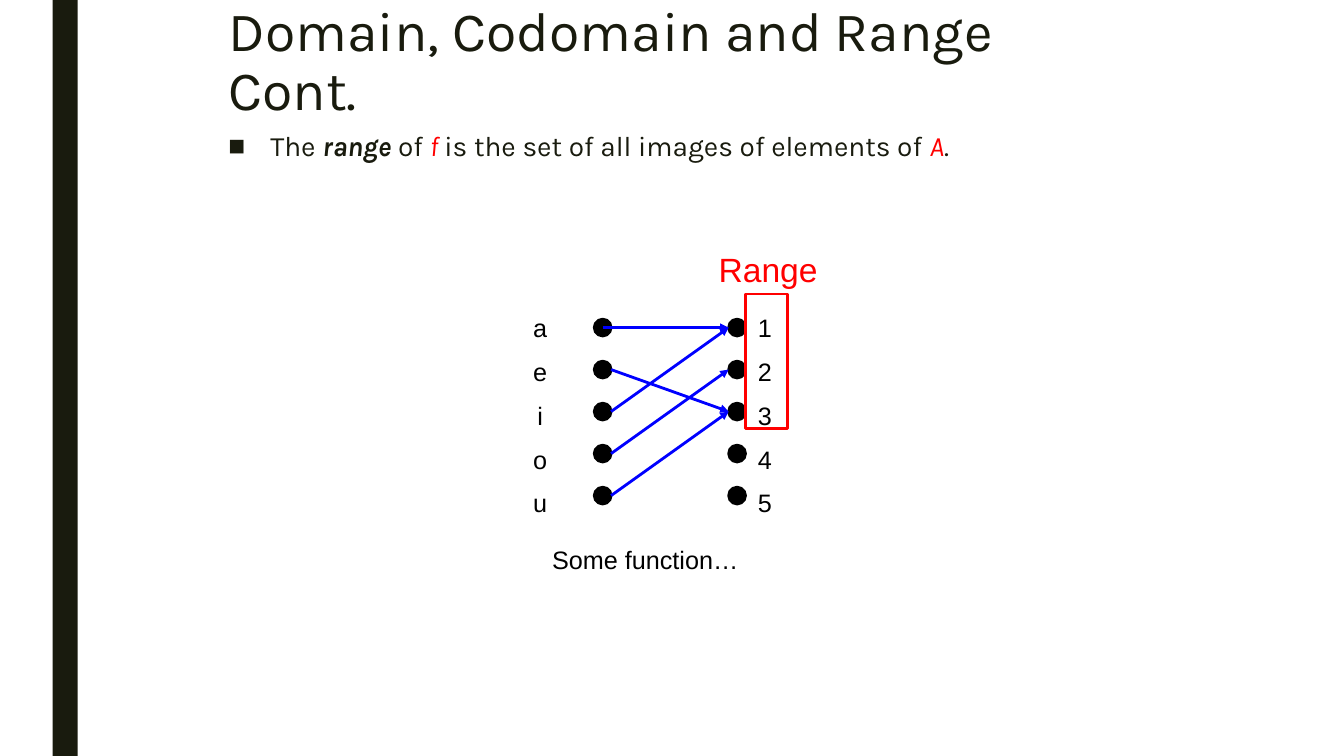
from lxml.etree import SubElement
from pptx import Presentation
from pptx.dml.color import RGBColor
from pptx.enum.shapes import MSO_CONNECTOR as Connector, MSO_SHAPE as Shape
from pptx.enum.text import MSO_ANCHOR as Anchor, MSO_AUTO_SIZE as AutoSize, PP_ALIGN as Align
from pptx.oxml.ns import qn
from pptx.util import Emu, Pt

PX = 9525  # EMU in one px, 96 px to the inch
COLORS = {"ink": "191B0E", "black": "000000", "red": "FF0000", "blue": "0000FF"}
PITCH, DOT = 40, 16
LETTERS, NUMBERS = "aeiou", "12345"
MAPPING = {"a": "1", "e": "3", "i": "1", "o": "2", "u": "3"}


def px(*lengths):
    return [Emu(length * PX) for length in lengths]


def color(name):
    return RGBColor.from_string(COLORS[name])


def set_font(font, ink, **formats):
    for name, value in formats.items():
        setattr(font, name, value)
    font.color.rgb = color(ink)


def add_figure(slide, kind, box, fill=None, line=None):
    figure = slide.shapes.add_shape(kind, *px(*box))
    figure.shadow.inherit = False
    if fill:
        figure.fill.solid()
        figure.fill.fore_color.rgb = color(fill)
    else:
        figure.fill.background()
    if line:
        figure.line.color.rgb = color(line)
        figure.line.width = Pt(2)
    else:
        figure.line.fill.background()


def add_label(slide, box, lines, ink="black", size=18, spacing=1.0):
    frame = slide.shapes.add_textbox(*px(*box)).text_frame
    frame.word_wrap = False
    for index, text in enumerate(lines):
        para = frame.paragraphs[0] if index == 0 else frame.add_paragraph()
        para.alignment = Align.CENTER
        para.line_spacing = spacing
        span = para.add_run()
        span.text = text
        set_font(span.font, ink, name="Arial", size=Pt(size))


def add_arrow(slide, start, end):
    arrow = slide.shapes.add_connector(Connector.STRAIGHT, *px(*start, *end))
    arrow.line.color.rgb = color("blue")
    arrow.line.width = Pt(2)
    SubElement(arrow.line._get_or_add_ln(), qn("a:tailEnd"), type="triangle")
    SubElement(arrow._element.spPr, qn("a:effectLst"))


def add_title(slide, box):
    title = slide.shapes.title
    title.left, title.top, title.width, title.height = px(*box)
    frame = title.text_frame
    frame.text = "Domain, Codomain and Range Cont."
    frame.word_wrap = True
    frame.auto_size = AutoSize.NONE
    frame.vertical_anchor = Anchor.MIDDLE
    para = frame.paragraphs[0]
    para.alignment = Align.LEFT
    para.line_spacing = 0.89
    set_font(para.runs[0].font, "ink", name="Karla", size=Pt(39.6))


def add_definition(slide, box):
    frame = slide.shapes.add_textbox(*px(*box)).text_frame
    frame.word_wrap = True
    para = frame.paragraphs[0]
    para.line_spacing = 0.94
    para.space_after = Pt(2)
    # Square bullet with a hanging indent
    props = para._p.get_or_add_pPr()
    props.set("marL", str(40 * PX))
    props.set("indent", str(-40 * PX))
    SubElement(props, qn("a:buFont"), typeface="Arial")
    SubElement(props, qn("a:buChar"), char="■")
    spans = [
        ("The ", "ink", {}),
        ("range", "ink", {"bold": True, "italic": True}),
        (" of ", "ink", {}),
        ("f ", "red", {"italic": True}),
        ("is the set of all images of elements of ", "ink", {}),
        ("A", "red", {"italic": True}),
        (".", "ink", {}),
    ]
    for text, ink, formats in spans:
        span = para.add_run()
        span.text = text
        set_font(span.font, ink, name="Karla", size=Pt(20), **formats)


def add_mapping(slide, box):
    left, top, width, height = box
    domain_x, codomain_x = left + 68, left + 196
    first_y = top + 72

    # Columns of dots
    for column_x in (domain_x, codomain_x):
        for row in range(len(LETTERS)):
            dot = (column_x, first_y + row * PITCH, DOT, DOT)
            add_figure(slide, Shape.OVAL, dot, "black", "black")

    # Names of the elements
    for label_x, names in ((left, LETTERS), (left + 214, NUMBERS)):
        add_label(slide, (label_x, top + 48, 33, 211), names, spacing=1.45)

    # Arrows; the level one starts at the centre of its dot
    for letter, number in MAPPING.items():
        row, target = LETTERS.index(letter), NUMBERS.index(number)
        start_x = domain_x + (DOT // 2 if row == target else DOT)
        middle_y = first_y + DOT // 2
        add_arrow(slide, (start_x, middle_y + row * PITCH),
                  (codomain_x, middle_y + target * PITCH))

    # Caption and marked range
    add_label(slide, (left + 18, top + height - 38, 197, 38), ["Some function…"])
    add_figure(slide, Shape.RECTANGLE, (left + 212, top + 48, 40, 128), line="red")
    add_label(slide, (left + width - 115, top, 115, 48), ["Range"], "red", 24)


def main():
    deck = Presentation()
    deck.slide_width, deck.slide_height = px(1280, 720)
    slide = deck.slides.add_slide(deck.slide_layouts[5])
    add_figure(slide, Shape.RECTANGLE, (50, 0, 24, 720), "ink")  # side bar
    add_title(slide, (208, 0, 864, 120))
    add_definition(slide, (208, 120, 864, 120))
    add_mapping(slide, (498, 232, 291, 320))
    deck.save("out.pptx")


if __name__ == "__main__":
    main()
